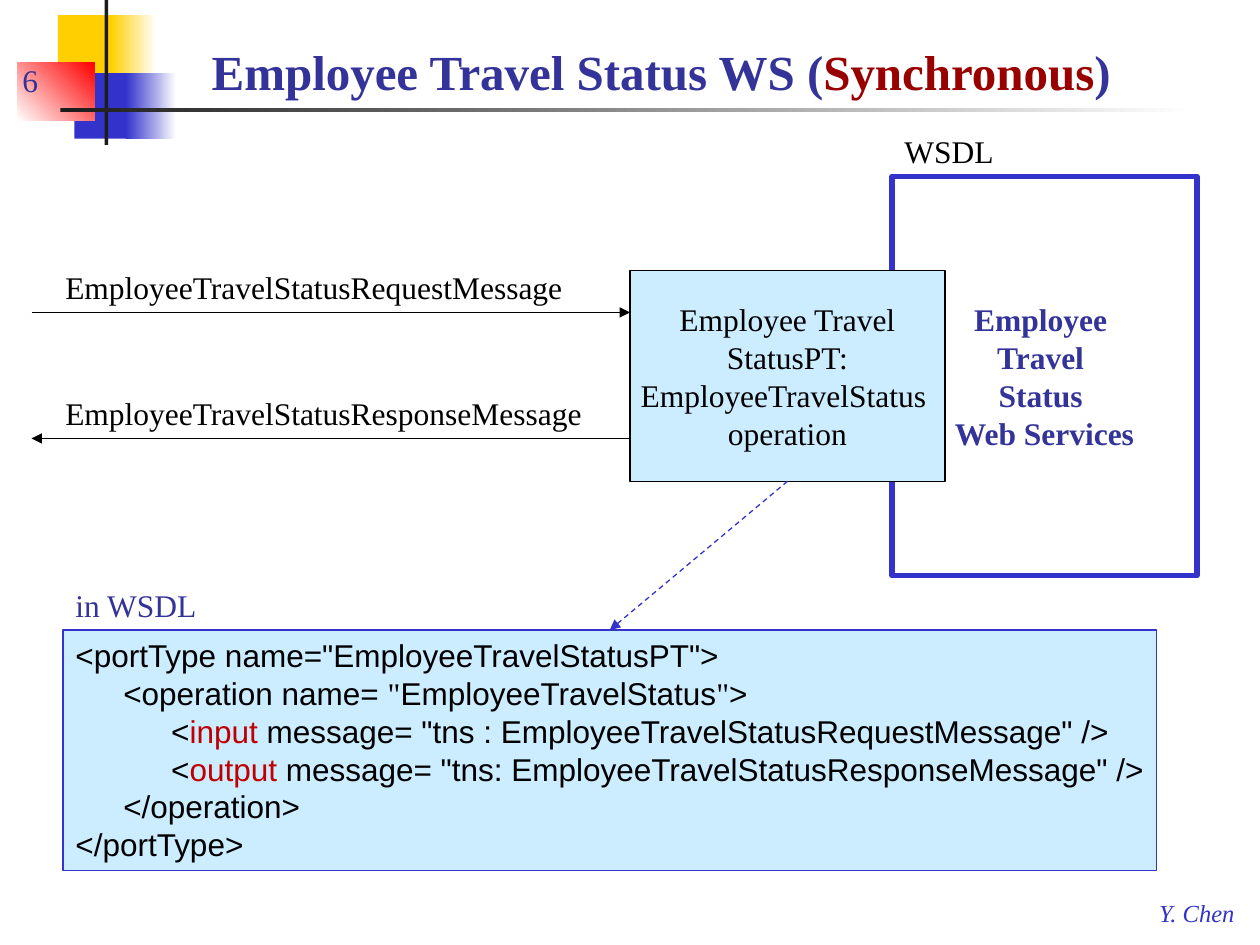
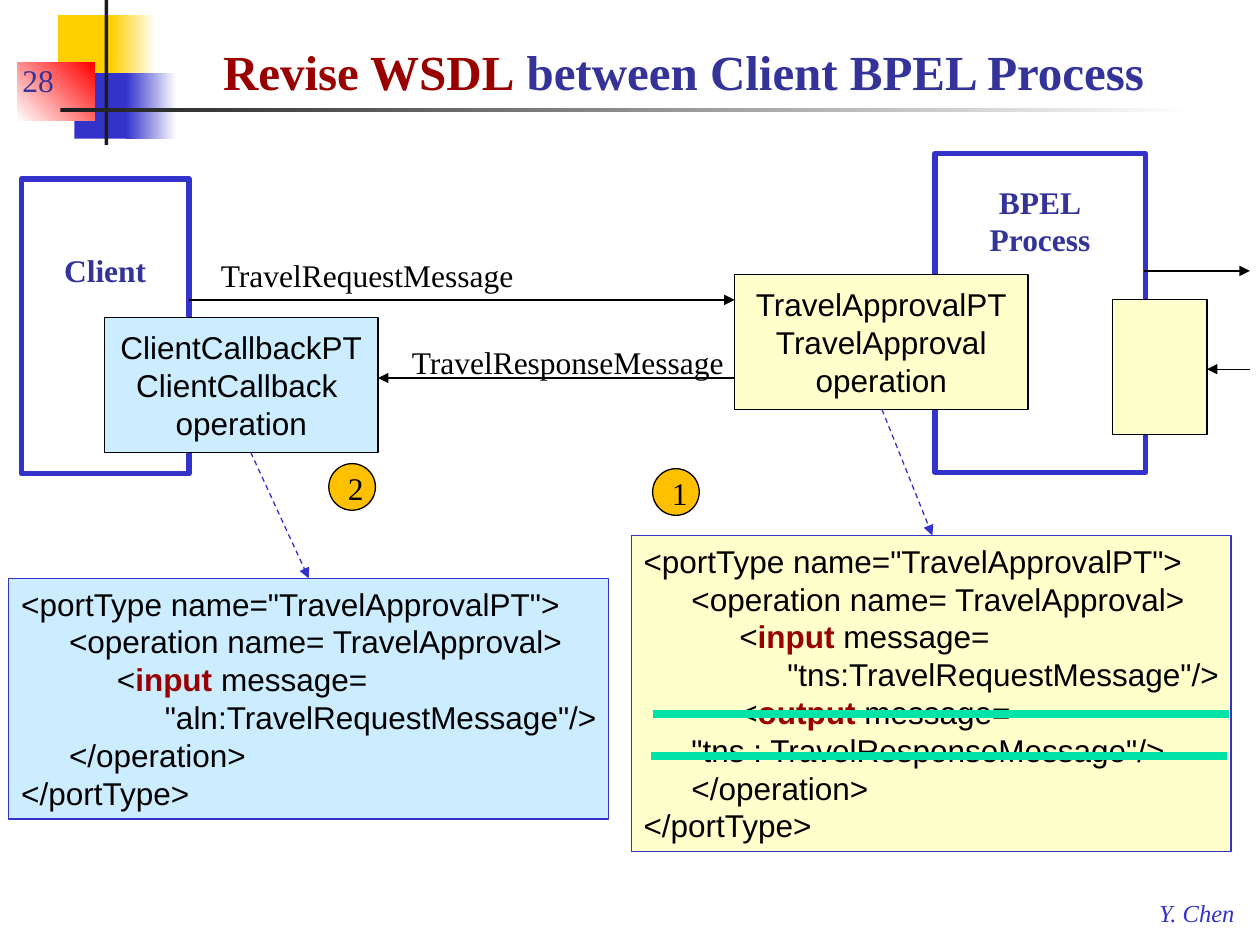
from lxml import etree
from pptx import Presentation
from pptx.dml.color import RGBColor
from pptx.enum.dml import MSO_LINE
from pptx.enum.shapes import MSO_CONNECTOR, MSO_SHAPE
from pptx.enum.text import MSO_ANCHOR, MSO_AUTO_SIZE, PP_ALIGN
from pptx.oxml.ns import qn
from pptx.util import Inches, Pt

RECTANGLE, OVAL = MSO_SHAPE.RECTANGLE, MSO_SHAPE.OVAL
STRAIGHT = MSO_CONNECTOR.STRAIGHT
TOP, MIDDLE, BOTTOM = MSO_ANCHOR.TOP, MSO_ANCHOR.MIDDLE, MSO_ANCHOR.BOTTOM
LEFT, CENTER = PP_ALIGN.LEFT, PP_ALIGN.CENTER
DASH = MSO_LINE.DASH
SERIF, SANS = "Times New Roman", "Arial"
TAB_STEP = 0.38
COLORS = {
    "white": "FFFFFF", "black": "000000", "charcoal": "1C1C1C",
    "gold": "FFCF01", "blue": "3333CC", "red": "FF0000",
    "navy": "333399", "maroon": "990000", "crimson": "C00000",
    "sky": "CCECFF", "cream": "FFFFCC", "orange": "FFC000", "mint": "00E4A8",
}


def color(name):
    return RGBColor.from_string(COLORS[name])


class SlideBuilder:
    """Holds the deck style and the slide being built."""

    def __init__(self):
        self.deck = Presentation()
        self.deck.slide_width, self.deck.slide_height = Inches(10), Inches(7.5)
        self.page = None

    def new_page(self, number, title_left, title_runs):
        self.page = self.deck.slides.add_slide(self.deck.slide_layouts[5])
        self.decoration()
        self.label(0.08, 0.33, 0.78, 0.5, number, ink="navy", anchor=BOTTOM)
        title = self.page.shapes.title
        title.left, title.top = Inches(title_left), Inches(0.17)
        title.width, title.height = Inches(8.33), Inches(0.68)
        self.fill_text(title, [title_runs], size=28, ink="navy", bold=True,
                       anchor=BOTTOM)

    def decoration(self):
        # Corner squares, cross bars and author footer
        self.shape(0.46, 0.12, 0.48, 0.52, fill="gold")
        self.shape(0.88, 0.12, 0.36, 0.52, fill=("gold", "white", 0))
        self.shape(0.59, 0.58, 0.46, 0.52, fill="blue")
        self.shape(1, 0.58, 0.4, 0.52, fill=("blue", "white", 0))
        self.shape(0.14, 0.5, 0.61, 0.46, fill=("white", "red", 45))
        self.shape(0.83, 0, 0.03, 1.15, fill="charcoal")
        self.shape(0.48, 0.86, 9, 0.03, fill=("charcoal", "white", 0))
        self.label(9.1, 7.08, 0.82, 0.33, "Y. Chen", size=14, ink="blue",
                   italic=True, wrap=False)

    def shape(self, left, top, width, height, fill=None, line=None, weight=0.75,
              kind=RECTANGLE):
        box = self.page.shapes.add_shape(
            kind, Inches(left), Inches(top), Inches(width), Inches(height))
        box.shadow.inherit = False
        if fill is None:
            box.fill.background()
        elif isinstance(fill, tuple):
            start, end, angle = fill
            box.fill.gradient()
            box.fill.gradient_angle = angle
            for stop, name in zip(box.fill.gradient_stops, (start, end)):
                stop.color.rgb = color(name)
        else:
            box.fill.solid()
            box.fill.fore_color.rgb = color(fill)
        if line:
            box.line.color.rgb = color(line)
            box.line.width = Pt(weight)
        else:
            box.line.fill.background()
        return box

    def fill_text(self, box, lines, size=18, font=SERIF, ink="black", bold=False,
                  italic=False, align=LEFT, anchor=TOP, wrap=True,
                  insets=(0.1, 0.05, 0.1, 0.05), tabs=0):
        """Each line is a list of runs: plain text or (text, changed styles)."""
        frame = box.text_frame
        frame.auto_size = MSO_AUTO_SIZE.NONE
        frame.word_wrap = wrap
        frame.vertical_anchor = anchor
        (frame.margin_left, frame.margin_top,
         frame.margin_right, frame.margin_bottom) = map(Inches, insets)
        for index, runs in enumerate(lines):
            para = frame.add_paragraph() if index else frame.paragraphs[0]
            if tabs:
                self.tab_stops(para, tabs)
            para.alignment = align
            para.line_spacing = Pt(size * 1.2)
            for run in runs:
                text, changes = (run, {}) if isinstance(run, str) else run
                span = para.add_run()
                span.text = text
                span.font.size = Pt(size)
                span.font.name = changes.get("font", font)
                span.font.bold = changes.get("bold", bold)
                span.font.italic = italic
                span.font.color.rgb = color(changes.get("ink", ink))

    def tab_stops(self, para, count):
        stops = etree.SubElement(para._p.get_or_add_pPr(), qn("a:tabLst"))
        for step in range(1, count + 1):
            etree.SubElement(stops, qn("a:tab"),
                             pos=str(Inches(TAB_STEP * step)), algn="l")

    def label(self, left, top, width, height, text, **style):
        box = self.page.shapes.add_textbox(
            Inches(left), Inches(top), Inches(width), Inches(height))
        self.fill_text(box, [[text]], **style)

    def partner(self, left, top, width, height, names, **style):
        box = self.shape(left, top, width, height, line="blue", weight=3)
        self.fill_text(box, [[name] for name in names], ink="navy", bold=True,
                       align=CENTER, wrap=False, **style)

    def operation(self, left, top, width, height, fill, names=(), font=SANS):
        box = self.shape(left, top, width, height, fill, "black")
        self.fill_text(box, [[name] for name in names], font=font, align=CENTER,
                       anchor=MIDDLE, wrap=False)

    def code(self, left, top, width, height, fill, lines):
        box = self.shape(left, top, width, height, fill, "blue")
        self.fill_text(box, lines, font=SANS, insets=(0.1, 0.05, 0, 0.05), tabs=3)

    def badge(self, left, top, number):
        box = self.shape(left, top, 0.37, 0.37, "orange", "black", kind=OVAL)
        self.fill_text(box, [[number]], align=CENTER, anchor=MIDDLE, wrap=False,
                       insets=(0.06, 0.02, 0, 0))

    def line(self, start, end, ink="black", weight=0.75, dash=None, arrow=True):
        link = self.page.shapes.add_connector(
            STRAIGHT, *(Inches(value) for value in (*start, *end)))
        link.line.color.rgb = color(ink)
        link.line.width = Pt(weight)
        if dash:
            link.line.dash_style = dash
        if arrow:
            etree.SubElement(link.line._get_or_add_ln(), qn("a:tailEnd"),
                             type="triangle")
        etree.SubElement(link._element.spPr, qn("a:effectLst"))

    def callout(self, start, end):
        self.line(start, end, ink="blue", dash=DASH)


def synchronous_page(builder):
    builder.new_page("6", 1.58, ["Employee Travel Status WS (",
                                 ("Synchronous", {"ink": "maroon"}), ")"])

    # Web service and its operation
    builder.partner(7.08, 1.4, 2.42, 3.17,
                    ["Employee ", "Travel ", "Status ", "Web Services"], anchor=MIDDLE)
    builder.operation(5, 2.15, 2.5, 1.67, "sky",
                      ["Employee Travel", "StatusPT:", "EmployeeTravelStatus ",
                       "operation"], font=SERIF)
    builder.label(7.08, 1, 0.92, 0.4, "WSDL", wrap=False)

    # Messages
    builder.line((0.25, 2.48), (5, 2.48))
    builder.line((5, 3.48), (0.25, 3.48))
    for top, kind in ((2.08, "Request"), (3.08, "Response")):
        builder.label(0.42, top, 4.6, 0.4, f"EmployeeTravelStatus{kind}Message")

    # Port type code
    quote = ('"', {"font": SERIF})
    builder.code(0.5, 5, 8.68, 1.91, "sky", [
        ['<portType name="EmployeeTravelStatusPT">'],
        ["\t<operation name= ", quote, "EmployeeTravelStatus", quote, ">"],
        ["\t\t<", ("input", {"ink": "crimson"}),
         ' message= "tns : EmployeeTravelStatusRequestMessage" />'],
        ["\t\t<", ("output", {"ink": "crimson"}),
         ' message= "tns: EmployeeTravelStatusResponseMessage" />'],
        ["\t</operation>"],
        ["</portType>"],
    ])
    builder.callout((6.25, 3.82), (4.84, 5))
    builder.label(0.5, 4.6, 1.17, 0.4, "in WSDL", ink="navy", wrap=False)


def travel_port_type(prefix, output_lines=()):
    keyword = {"ink": "maroon", "bold": True}
    return [
        ['<portType name="TravelApprovalPT">'],
        ["\t<operation name= TravelApproval>"],
        ["\t\t<", ("input", keyword), " message="],
        [f'\t\t\t"{prefix}:TravelRequestMessage"/>'],
        *output_lines,
        ["\t</operation>"],
        ["</portType>"],
    ]


def revised_page(builder):
    builder.new_page("28", 1.67, [("Revise WSDL", {"ink": "maroon"}),
                                  " between Client BPEL Process"])

    # Port type of the process, with its output struck out
    output_lines = [
        ["\t\t<", ("output", {"ink": "maroon", "bold": True}), " message="],
        ['\t"tns : TravelResponseMessage"/>'],
    ]
    builder.code(5.01, 4.25, 4.76, 2.51, "cream", travel_port_type("tns", output_lines))
    for left, top in ((5.18, 5.67), (5.17, 6)):
        builder.line((left, top), (left + 4.57, top), "mint", 4.5, arrow=False)

    # Process and its operations
    builder.partner(7.42, 1.22, 1.67, 2.53, ["BPEL", "Process"],
                    insets=(0.1, 0.23, 0.1, 0.05))
    builder.line((9.08, 2.15), (9.92, 2.15))
    builder.line((9.92, 2.93), (9.58, 2.93))
    builder.operation(8.83, 2.38, 0.75, 1.07, "cream")
    builder.operation(5.83, 2.18, 2.33, 1.07, "cream",
                      ["TravelApprovalPT", "TravelApproval", "operation"])
    builder.callout((7, 3.25), (7.4, 4.25))

    # Client and its callback
    builder.partner(0.17, 1.42, 1.33, 2.34, ["Client"], insets=(0.1, 0.57, 0.1, 0.05))
    builder.operation(0.83, 2.52, 2.17, 1.07, "sky",
                      ["ClientCallbackPT", "ClientCallback ", "operation"])
    builder.code(0.07, 4.59, 4.76, 1.91, "sky", travel_port_type("aln"))
    builder.callout((1.99, 3.59), (2.45, 4.59))

    # Messages
    builder.line((1.5, 2.38), (5.83, 2.38))
    builder.line((5.83, 3), (3, 3), weight=1.5)
    builder.label(1.5, 1.98, 2.83, 0.4, "TravelRequestMessage", align=CENTER)
    builder.label(3.17, 2.67, 2.83, 0.4, "TravelResponseMessage")

    # Step numbers
    builder.badge(5.18, 3.72, "1")
    builder.badge(2.61, 3.68, "2")


def main():
    builder = SlideBuilder()
    synchronous_page(builder)
    revised_page(builder)
    builder.deck.save("out.pptx")


if __name__ == "__main__":
    main()
